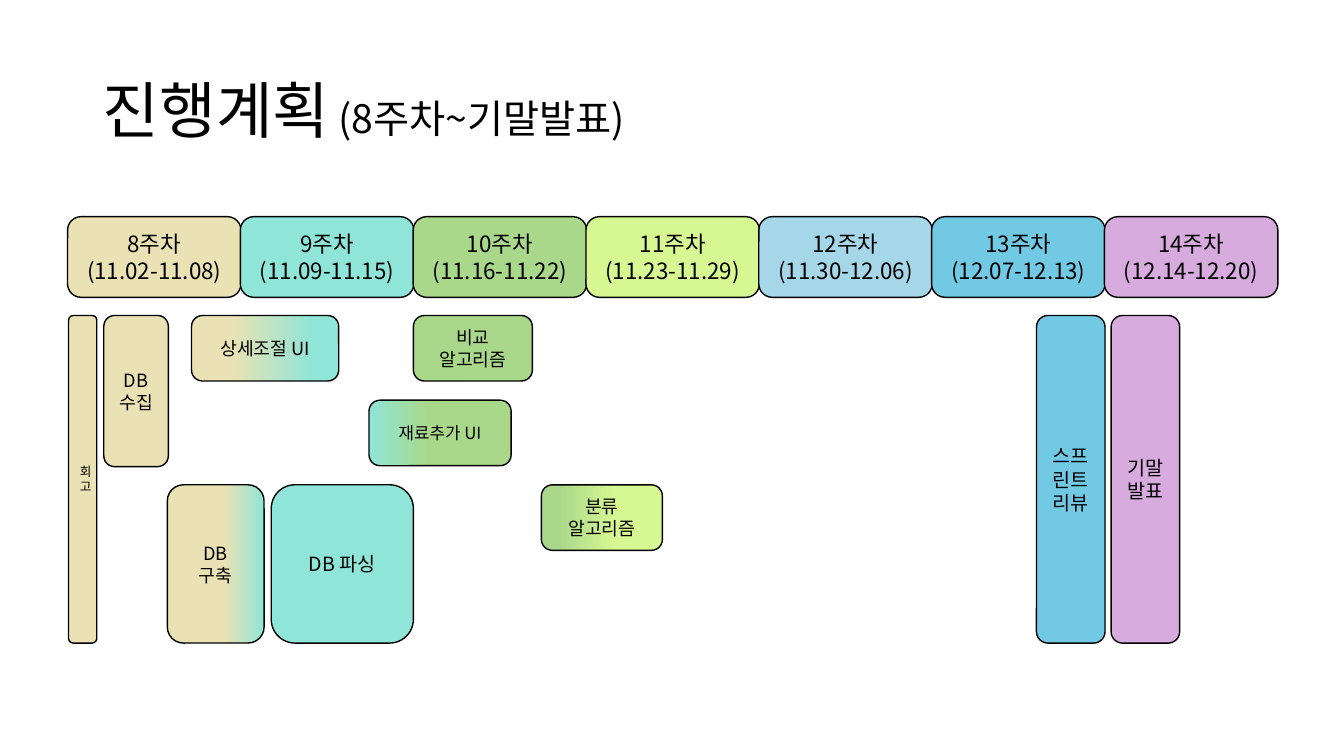
from lxml import etree
from pptx import Presentation
from pptx import util as u
from pptx.dml.color import RGBColor
from pptx.enum import shapes, text
from pptx.oxml import ns

FONT = "Noto Sans CJK KR"
SAND, MINT, GREEN, LIME = "EAE2B4", "8FE5D8", "A9D88A", "D7F792"
PALE_BLUE, BLUE, PURPLE = "A5D7E9", "72C9E3", "D7ABDE"


def style_run(run, size):
    run.font.size = u.Pt(size)
    run.font.name = FONT
    run.font.color.rgb = RGBColor.from_string("000000")
    east_asian = etree.SubElement(run.font._element, ns.qn("a:ea"))
    east_asian.set("typeface", FONT)


def add_block(slide, label, left, top, width, height, size, fill):
    """Rounded block; fill is one colour or a list of two (position, colour) stops."""
    shape = slide.shapes.add_shape(
        shapes.MSO_SHAPE.ROUNDED_RECTANGLE,
        u.Inches(left), u.Inches(top), u.Inches(width), u.Inches(height))
    shape.shadow.inherit = False
    if isinstance(fill, str):
        shape.fill.solid()
        shape.fill.fore_color.rgb = RGBColor.from_string(fill)
    else:
        shape.fill.gradient()
        shape.fill.gradient_angle = 0
        for stop, (position, color) in zip(shape.fill.gradient_stops, fill):
            stop.position = position
            stop.color.rgb = RGBColor.from_string(color)
    shape.line.color.rgb = RGBColor.from_string("000000")
    shape.line.width = u.Pt(1)
    shape.text_frame.text = label
    shape.text_frame.vertical_anchor = text.MSO_ANCHOR.MIDDLE
    for paragraph in shape.text_frame.paragraphs:
        paragraph.alignment = text.PP_ALIGN.CENTER
        for run in paragraph.runs:
            style_run(run, size)


presentation = Presentation()
presentation.slide_width = u.Inches(13.33)
presentation.slide_height = u.Inches(7.5)
slide = presentation.slides.add_slide(presentation.slide_layouts[6])

# Title
title = slide.shapes.add_textbox(
    u.Inches(0.92), u.Inches(0.4), u.Inches(11.5), u.Inches(1.45))
title.text_frame.word_wrap = True
title.text_frame.vertical_anchor = text.MSO_ANCHOR.MIDDLE
paragraph = title.text_frame.paragraphs[0]
paragraph.line_spacing = 0.9
for part, size in [("진행계획", 44), (" (8주차~기말발표)", 28)]:
    run = paragraph.add_run()
    run.text = part
    style_run(run, size)

# Week headers
weeks = [
    ("11.02-11.08", SAND), ("11.09-11.15", MINT), ("11.16-11.22", GREEN),
    ("11.23-11.29", LIME), ("11.30-12.06", PALE_BLUE),
    ("12.07-12.13", BLUE), ("12.14-12.20", PURPLE),
]
for index, (dates, color) in enumerate(weeks):
    add_block(slide, f"{8 + index}주차\n({dates})",
              0.67 + index * 1.714, 2.15, 1.72, 0.8, 16, color)

# Tasks: label, left, top, width, height, text size, fill
ROW_1, ROW_2, ROW_3 = 3.13, 3.97, 4.81
LOW, FULL = 0.65, 3.25
tasks = [
    ("회고", 0.68, ROW_1, 0.28, FULL, 9, SAND),
    ("DB\n구축", 1.66, ROW_3, 0.96, 1.57, 13, [(0.59, SAND), (1, MINT)]),
    ("DB\n수집", 1.03, ROW_1, 0.64, 1.5, 13, SAND),
    ("재료추가 UI", 3.66, ROW_2, 1.41, LOW, 12, [(0, MINT), (0.42, GREEN)]),
    ("DB 파싱", 2.69, ROW_3, 1.41, 1.57, 14, MINT),
    ("비교\n알고리즘", 4.1, ROW_1, 1.18, LOW, 13, GREEN),
    ("상세조절 UI", 1.9, ROW_1, 1.46, LOW, 13, [(0.27, SAND), (0.83, MINT)]),
    ("분류\n알고리즘", 5.37, ROW_3, 1.2, LOW, 13, [(0.13, GREEN), (0.62, LIME)]),
    ("스프린트 리뷰", 10.28, ROW_1, 0.68, FULL, 14, BLUE),
    ("기말 발표", 11.02, ROW_1, 0.68, FULL, 14, PURPLE),
]
for task in tasks:
    add_block(slide, *task)

presentation.save("out.pptx")
